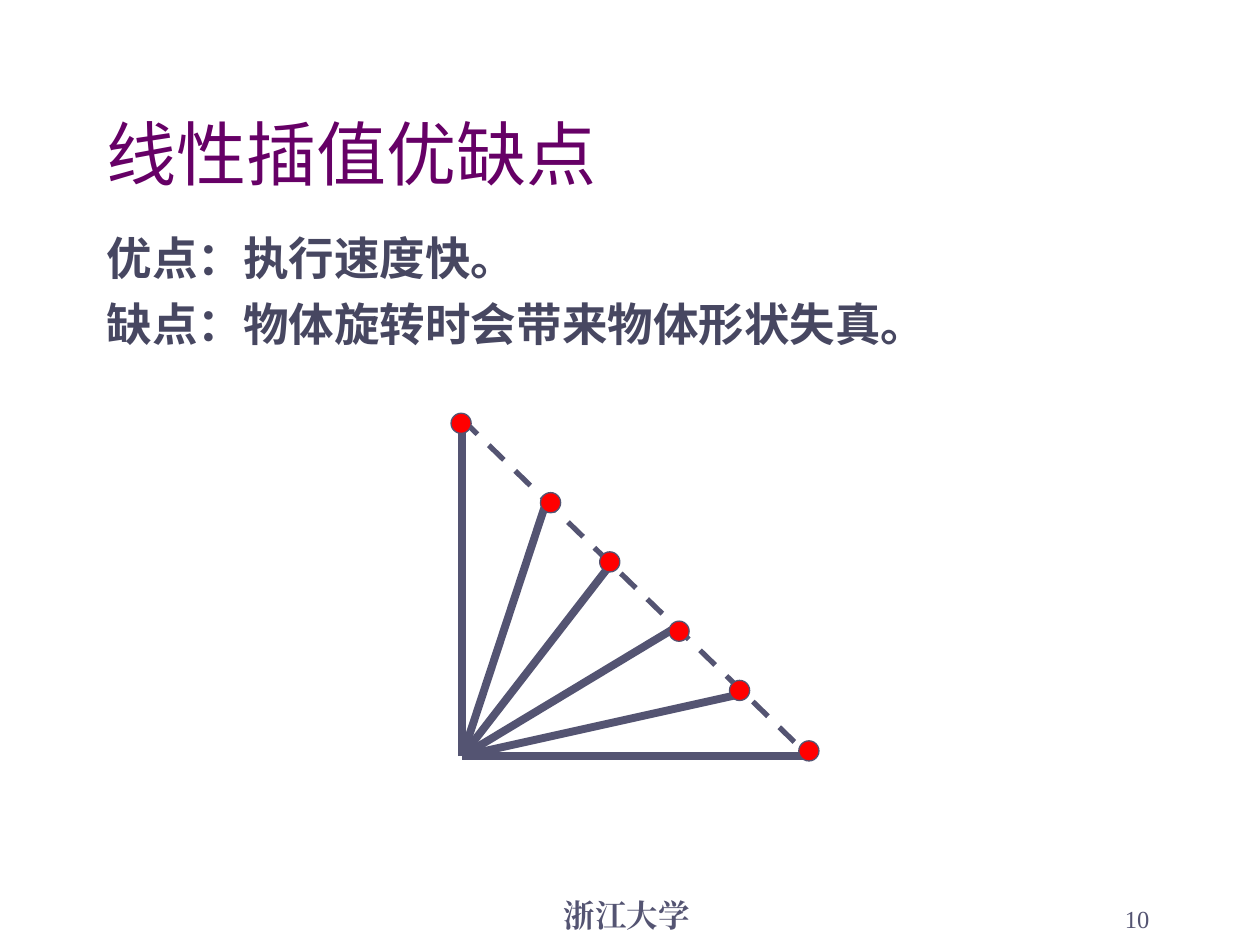
from lxml import etree
from pptx import Presentation
from pptx.dml.color import RGBColor
from pptx.enum.dml import MSO_LINE
from pptx.enum.shapes import MSO_CONNECTOR, MSO_SHAPE
from pptx.enum.text import MSO_ANCHOR, PP_ALIGN
from pptx.oxml.ns import qn
from pptx.util import Inches, Pt

TOP, BOTTOM = MSO_ANCHOR.TOP, MSO_ANCHOR.BOTTOM
LEFT, CENTER, RIGHT, JUSTIFY = PP_ALIGN.LEFT, PP_ALIGN.CENTER, PP_ALIGN.RIGHT, PP_ALIGN.JUSTIFY
STRAIGHT, OVAL, DASH = MSO_CONNECTOR.STRAIGHT, MSO_SHAPE.OVAL, MSO_LINE.DASH

COLORS = {"title": "660066", "body": "474761", "slate": "545472", "dot": "FF0000"}

prs = Presentation()
prs.slide_width, prs.slide_height = Inches(10), Inches(7.5)
slide = prs.slides.add_slide(prs.slide_layouts[6])


def add_text(box, lines, font, size, color, bold=False, align=LEFT, anchor=BOTTOM):
    frame = slide.shapes.add_textbox(*map(Inches, box)).text_frame
    frame.word_wrap = True
    frame.vertical_anchor = anchor
    for i, line in enumerate(lines):
        paragraph = frame.paragraphs[0] if i == 0 else frame.add_paragraph()
        paragraph.alignment = align
        run = paragraph.add_run()
        run.text = line
        run.font.name = font
        run.font.size = Pt(size)
        run.font.bold = bold
        run.font.color.rgb = RGBColor.from_string(COLORS[color])
        east_asian = etree.SubElement(run.font._element, qn("a:ea"))
        east_asian.set("typeface", font)
    return frame


def add_segment(start, end, width, dash=None):
    segment = slide.shapes.add_connector(STRAIGHT, *map(Inches, (*start, *end)))
    segment.line.color.rgb = RGBColor.from_string(COLORS["slate"])
    segment.line.width = Pt(width)
    if dash:
        segment.line.dash_style = dash
    etree.SubElement(segment._element.spPr, qn("a:effectLst"))


add_text((3.39, 6.96, 3.17, 0.5), ["浙江大学"], "Times New Roman", 18, "slate", bold=True, align=CENTER)
add_text((7.14, 6.96, 2.08, 0.5), ["10"], "Times New Roman", 14, "slate", align=RIGHT)
add_text((0.75, 0.67, 8.5, 0.92), ["线性插值优缺点"], "Karla", 40, "title")
pros_cons = add_text(
    (0.75, 1.78, 8.5, 4.75),
    ["优点：执行速度快。", "缺点：物体旋转时会带来物体形状失真。"],
    "Karla", 26, "body", bold=True, align=JUSTIFY, anchor=TOP,
)
for paragraph in pros_cons.paragraphs:
    paragraph.space_before = Pt(6.5)
    properties = paragraph._p.get_or_add_pPr()
    properties.set("marL", str(Inches(0.38)))
    properties.set("indent", str(-Inches(0.38)))

pivot = (3.67, 6)
tips = [(3.67, 3.33), (4.33, 4), (4.83, 4.5), (5.33, 5), (5.92, 5.5), (6.42, 6)]
add_segment(tips[0], tips[-1], 3, DASH)
for tip in tips:
    add_segment(pivot, tip, 4.5)

dot_size = 0.16
dot_corners = [(3.58, 3.28), (4.29, 3.91), (4.76, 4.38), (5.31, 4.93), (5.79, 5.4), (6.34, 5.88)]
for left, top in dot_corners:
    dot = slide.shapes.add_shape(OVAL, *map(Inches, (left, top, dot_size, dot_size)))
    dot.shadow.inherit = False
    dot.fill.solid()
    dot.fill.fore_color.rgb = RGBColor.from_string(COLORS["dot"])
    dot.line.color.rgb = RGBColor.from_string(COLORS["slate"])
    dot.line.width = Pt(0.75)

prs.save("out.pptx")
